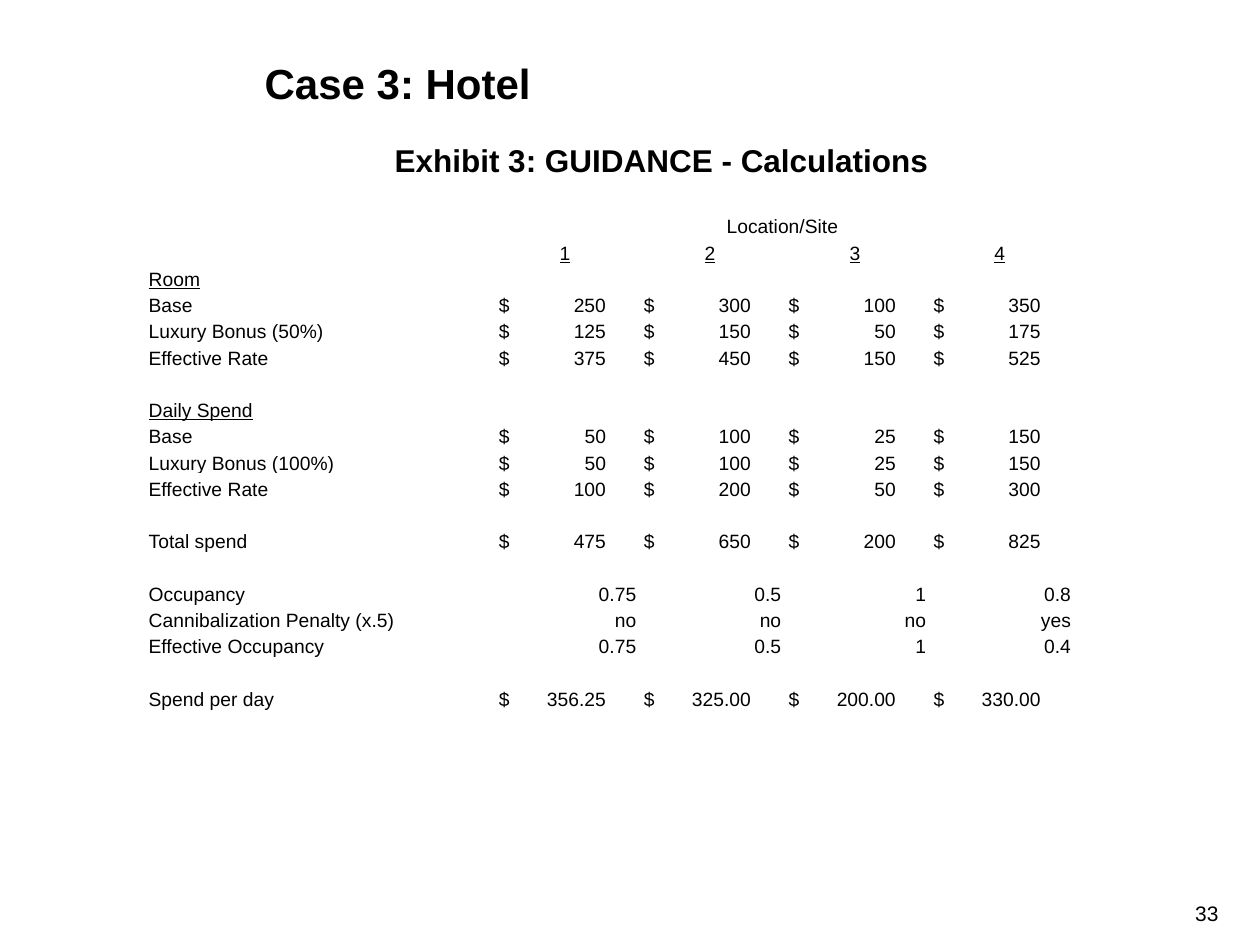
from lxml import etree
from pptx import Presentation
from pptx.dml.color import RGBColor
from pptx.enum.text import MSO_ANCHOR, PP_ALIGN
from pptx.oxml.ns import qn
from pptx.util import Inches, Pt

BLACK = RGBColor(0, 0, 0)
WHITE = RGBColor(255, 255, 255)
FONT = "Arial"
TABLE_SIZE = 11
ROW_HEIGHT = 3.96 / 19
COLUMN_WIDTHS = [2.74] + [1.15] * 4

ROWS = [
    ("", "Location/Site"),
    ("", "1", "2", "3", "4"),
    ("Room",),
    ("Base", "$250", "$300", "$100", "$350"),
    ("Luxury Bonus (50%)", "$125", "$150", "$50", "$175"),
    ("Effective Rate", "$375", "$450", "$150", "$525"),
    (),
    ("Daily Spend",),
    ("Base", "$50", "$100", "$25", "$150"),
    ("Luxury Bonus (100%)", "$50", "$100", "$25", "$150"),
    ("Effective Rate", "$100", "$200", "$50", "$300"),
    (),
    ("Total spend", "$475", "$650", "$200", "$825"),
    (),
    ("Occupancy", "0.75", "0.5", "1", "0.8"),
    ("Cannibalization Penalty (x.5)", "no", "no", "no", "yes"),
    ("Effective Occupancy", "0.75", "0.5", "1", "0.4"),
    (),
    ("Spend per day", "$356.25", "$325.00", "$200.00", "$330.00"),
]


def format_paragraph(p, size, align, bold=False, underline=False):
    p.alignment = align
    font = p.font
    font.name = FONT
    font.size = Pt(size)
    font.bold = bold
    font.underline = underline
    font.color.rgb = BLACK


def place(sp, left, top, width, height):
    sp.left, sp.top = Inches(left), Inches(top)
    sp.width, sp.height = Inches(width), Inches(height)


def add_title(s, text):
    sp = s.shapes.title
    place(sp, 2, 0.41, 6.5, 0.51)
    tf = sp.text_frame
    tf.text = text
    tf.vertical_anchor = MSO_ANCHOR.TOP
    format_paragraph(tf.paragraphs[0], 24, PP_ALIGN.LEFT, bold=True)


def add_text(s, text, box, size, align, bold=False, margin=None):
    sp = s.shapes.add_textbox(*map(Inches, box))
    tf = sp.text_frame
    tf.word_wrap = True
    if margin is not None:
        tf.margin_left = tf.margin_right = Inches(margin)
        tf.margin_top = tf.margin_bottom = Inches(margin)
    tf.text = text
    format_paragraph(tf.paragraphs[0], size, align, bold)


def add_right_tab(p, position):
    tabs = etree.SubElement(p._p.get_or_add_pPr(), qn("a:tabLst"))
    etree.SubElement(tabs, qn("a:tab"), pos=str(Inches(position)), algn="r")


def fill_cell(cell, text, align, underline):
    cell.fill.solid()
    cell.fill.fore_color.rgb = WHITE
    cell.vertical_anchor = MSO_ANCHOR.BOTTOM
    cell.margin_left = cell.margin_right = cell.margin_top = Inches(0.01)
    cell.margin_bottom = 0
    p = cell.text_frame.paragraphs[0]
    if not text:
        p._p.get_or_add_endParaRPr().set("sz", str(TABLE_SIZE * 100))
        return
    if text.startswith("$"):
        cell.margin_left = Inches(0.05)
        add_right_tab(p, 0.85)
        text = text.replace("$", "$\t")
        align = PP_ALIGN.LEFT
    p.add_run().text = text
    format_paragraph(p, TABLE_SIZE, align, underline=underline)


def add_calculations(s):
    frame = s.shapes.add_table(
        len(ROWS), len(COLUMN_WIDTHS),
        Inches(1.17), Inches(1.68), Inches(sum(COLUMN_WIDTHS)), Inches(3.96),
    )
    table = frame.table
    table.first_row = table.horz_banding = False
    for column, width in zip(table.columns, COLUMN_WIDTHS):
        column.width = Inches(width)
    for i, values in enumerate(ROWS):
        table.rows[i].height = Inches(ROW_HEIGHT)
        heading = i == 1 or len(values) == 1
        for j in range(len(COLUMN_WIDTHS)):
            text = values[j] if j < len(values) else ""
            if j == 0:
                align = PP_ALIGN.LEFT
            else:
                align = PP_ALIGN.CENTER if i < 2 else PP_ALIGN.RIGHT
            fill_cell(table.cell(i, j), text, align, heading)
    table.cell(0, 1).merge(table.cell(0, 4))


def main():
    prs = Presentation()
    prs.slide_width, prs.slide_height = Inches(10), Inches(7.5)
    s = prs.slides.add_slide(prs.slide_layouts[5])
    add_title(s, "Case 3: Hotel")
    add_calculations(s)
    add_text(s, "Exhibit 3: GUIDANCE - Calculations", (1.49, 1.07, 7.52, 0.4),
             18, PP_ALIGN.CENTER, bold=True)
    add_text(s, "33", (9.25, 7.15, 0.42, 0.25), 12, PP_ALIGN.RIGHT, margin=0)
    prs.save("out.pptx")


if __name__ == "__main__":
    main()
